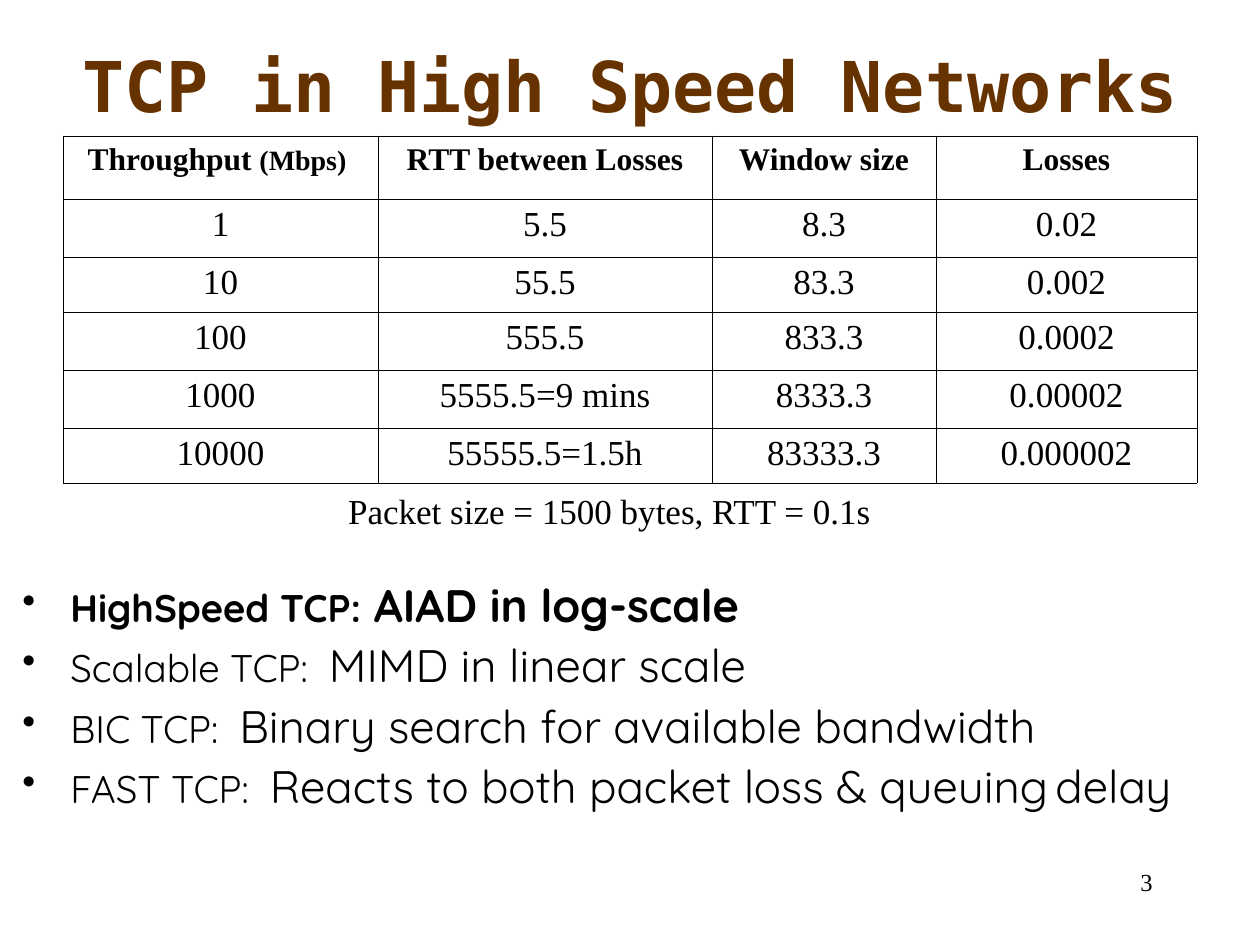
from pptx import Presentation
from pptx.dml.color import RGBColor
from pptx.enum.text import MSO_ANCHOR as ANCHOR, PP_ALIGN as ALIGN
from pptx.oxml import parse_xml
from pptx.oxml.ns import nsdecls
from pptx.util import Emu, Pt

SERIF = "Times New Roman"
SANS = "Quicksand"
MONO = "DejaVu Sans Mono"
BLACK = "000000"
BROWN = "663300"


def px(n):
    return Emu(round(n * 914400 / 126))


def rgb(value):
    return RGBColor.from_string(value)


def element(xml):
    tag = xml[1:].split(" ")[0].split(">")[0].rstrip("/")
    return parse_xml(xml.replace(f"<{tag}", f"<{tag} {nsdecls('a')}", 1))


def add_run(p, text, size=20, font=SERIF, color=BLACK, bold=False):
    r = p.add_run()
    r.text = text
    r.font.size = Pt(size)
    r.font.name = font
    r.font.bold = bold
    r.font.color.rgb = rgb(color)
    return r


class SlideBuilder:
    def __init__(self, prs):
        self.slide = prs.slides.add_slide(prs.slide_layouts[5])

    def title(self, text, x, y, w, h):
        s = self.slide.shapes.title
        s.left, s.top, s.width, s.height = map(px, (x, y, w, h))
        tf = s.text_frame
        tf.word_wrap = True
        tf.vertical_anchor = ANCHOR.MIDDLE
        p = tf.paragraphs[0]
        p.alignment = ALIGN.CENTER
        add_run(p, text, size=40, font=MONO, color=BROWN, bold=True)

    def box(self, x, y, w, h):
        s = self.slide.shapes.add_textbox(*map(px, (x, y, w, h)))
        tf = s.text_frame
        tf.word_wrap = True
        return tf

    def text(self, text, x, y, w, h, align=ALIGN.CENTER, **fmt):
        p = self.box(x, y, w, h).paragraphs[0]
        p.alignment = align
        add_run(p, text, **fmt)

    def table(self, rows, x, y, widths, heights):
        size = (len(rows), len(widths))
        frame = self.slide.shapes.add_table(
            *size, px(x), px(y), px(sum(widths)), px(sum(heights)))
        table = frame.table
        table.first_row = table.horz_banding = False
        for column, width in zip(table.columns, widths):
            column.width = px(width)
        for row, height, values in zip(table.rows, heights, rows):
            row.height = px(height)
            for cell, runs in zip(row.cells, values):
                self.cell(cell, runs)

    def cell(self, cell, runs):
        p = cell.text_frame.paragraphs[0]
        p.alignment = ALIGN.CENTER
        for text, fmt in runs:
            add_run(p, text, **fmt)
        tc_pr = cell._tc.get_or_add_tcPr()
        for side in ("lnL", "lnR", "lnT", "lnB"):
            tc_pr.append(element(
                f'<a:{side} w="{Pt(0.45)}"><a:solidFill>'
                f'<a:srgbClr val="{BLACK}"/></a:solidFill></a:{side}>'))
        cell.fill.background()

    def bullets(self, items, x, y, w, h):
        tf = self.box(x, y, w, h)
        for i, (name, detail, bold) in enumerate(items):
            p = tf.add_paragraph() if i else tf.paragraphs[0]
            p.line_spacing = 0.9
            if i:
                p.space_before = Pt(6.5)
            p_pr = p._p.get_or_add_pPr()
            p_pr.set("marL", str(px(48)))
            p_pr.set("indent", str(-px(48)))
            p_pr.append(element(
                f'<a:buClr><a:srgbClr val="{BLACK}"/></a:buClr>'))
            p_pr.append(element('<a:buChar char="•"/>'))
            if "\t" in detail:
                p_pr.append(element(
                    f'<a:tabLst><a:tab pos="{px(1033)}" algn="l"/></a:tabLst>'))
            add_run(p, name, size=22, font=SANS, bold=bold)
            add_run(p, detail, size=26, font=SANS, bold=bold)


def main():
    prs = Presentation()
    prs.slide_width, prs.slide_height = px(1260), px(945)
    s = SlideBuilder(prs)

    s.title("TCP in High Speed Networks", 0, 11, 1260, 146)

    head = {"size": 18, "bold": True}
    header = [
        [("Throughput ", head), ("(Mbps) ", {"size": 16, "bold": True})],
        [("RTT between Losses", head)],
        [("Window size", head)],
        [("Losses", head)],
    ]
    data = [
        ("1", "5.5", "8.3", "0.02"),
        ("10", "55.5", "83.3", "0.002"),
        ("100", "555.5", "833.3", "0.0002"),
        ("1000", "5555.5=9 mins", "8333.3", "0.00002"),
        ("10000", "55555.5=1.5h", "83333.3", "0.000002"),
    ]
    body = [[[(value, {})] for value in row] for row in data]
    s.table([header] + body, 63, 136,
            (315, 334, 224, 261), (63, 58, 55, 58, 58, 55))

    s.text("Packet size = 1500 bytes, RTT = 0.1s", 305, 483, 609, 55)
    s.bullets([
        ("HighSpeed TCP:", " AIAD in log-scale", True),
        ("Scalable TCP:  ", "MIMD in linear scale", False),
        ("BIC TCP:  ", "Binary search for available bandwidth", False),
        ("FAST TCP:  ",
         "Reacts to both packet loss & queuing\tdelay", False),
    ], 10, 577, 1229, 315)
    s.text("3", 903, 861, 262, 63, align=ALIGN.RIGHT, size=14)

    prs.save("out.pptx")


if __name__ == "__main__":
    main()
